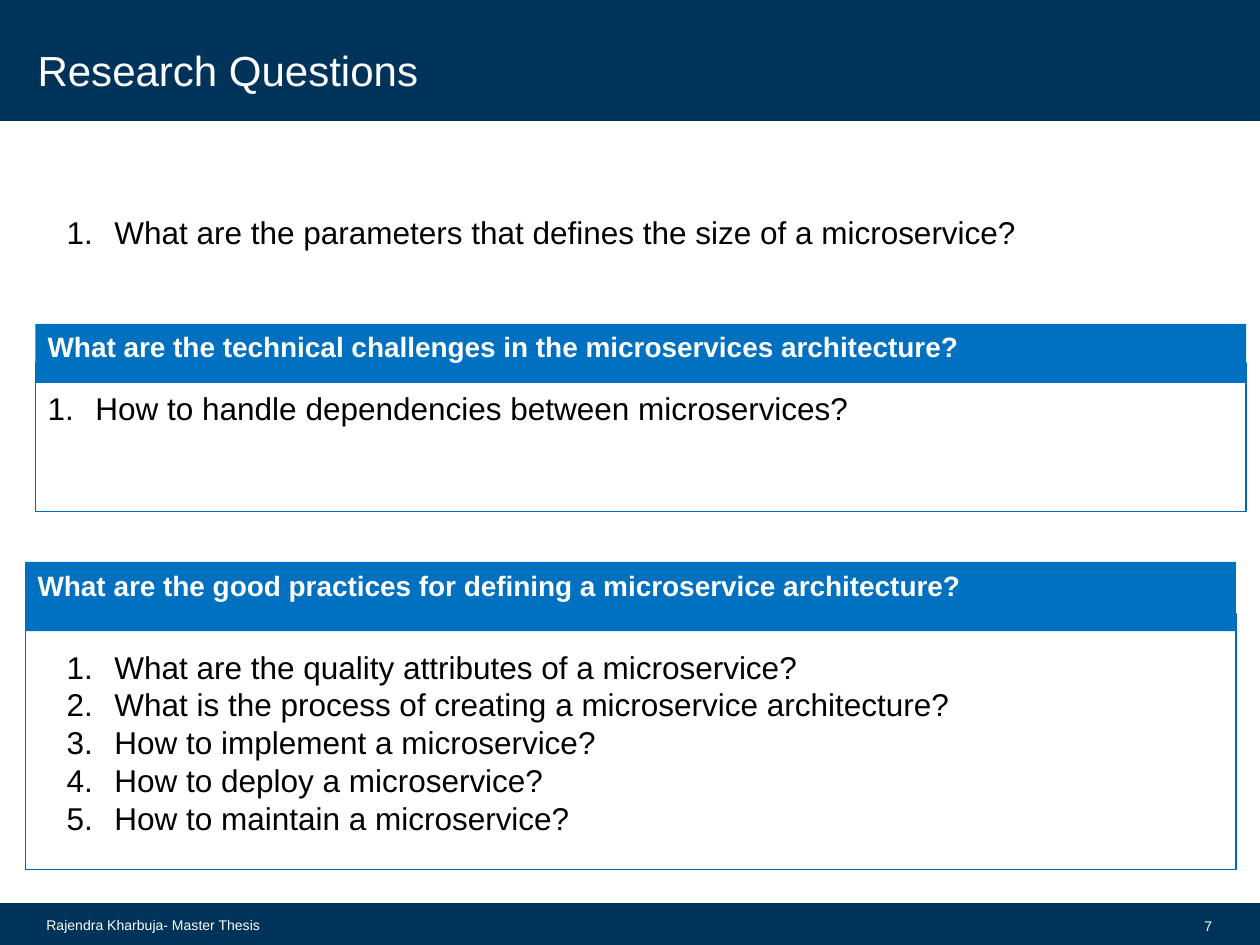
from lxml import etree
from pptx import Presentation
from pptx.dml.color import RGBColor
from pptx.enum.shapes import MSO_SHAPE
from pptx.enum.text import MSO_ANCHOR, PP_ALIGN
from pptx.oxml.ns import qn
from pptx.util import Inches, Pt

NAVY = RGBColor(0x00, 0x33, 0x59)
BLUE = RGBColor(0x00, 0x70, 0xC0)
OUTLINE = RGBColor(0x00, 0x65, 0xBD)
WHITE = RGBColor(0xFF, 0xFF, 0xFF)
BLACK = RGBColor(0x00, 0x00, 0x00)
FONT = "Arial"

PANEL_WIDTH = 9.61
LIST_INDENT = Inches(0.38)


def add_run(p, text, size, color, bold=False):
    r = p.add_run()
    r.text = text
    r.font.name = FONT
    r.font.size = Pt(size)
    r.font.bold = bold
    r.font.color.rgb = color


def add_rect(slide, x, y, w, h, fill=None, line=None, line_width=0.75):
    s = slide.shapes.add_shape(MSO_SHAPE.RECTANGLE, Inches(x), Inches(y), Inches(w), Inches(h))
    s.shadow.inherit = False
    if fill is None:
        s.fill.background()
    else:
        s.fill.solid()
        s.fill.fore_color.rgb = fill
    if line is None:
        s.line.fill.background()
    else:
        s.line.color.rgb = line
        s.line.width = Pt(line_width)
    return s


def add_text_box(slide, x, y, w, h, anchor=MSO_ANCHOR.TOP, wrap=True):
    s = slide.shapes.add_textbox(Inches(x), Inches(y), Inches(w), Inches(h))
    tf = s.text_frame
    tf.word_wrap = wrap
    tf.vertical_anchor = anchor
    return tf


def add_label(slide, x, y, w, h, text, size, anchor=MSO_ANCHOR.MIDDLE,
              align=PP_ALIGN.LEFT, wrap=True):
    tf = add_text_box(slide, x, y, w, h, anchor, wrap)
    p = tf.paragraphs[0]
    p.alignment = align
    add_run(p, text, size, WHITE)
    return tf


def add_numbered_list(slide, x, y, w, h, items):
    tf = add_text_box(slide, x, y, w, h)
    for i, item in enumerate(items):
        p = tf.add_paragraph() if i else tf.paragraphs[0]
        pPr = p._p.get_or_add_pPr()
        pPr.set("marL", str(LIST_INDENT))
        pPr.set("indent", str(-LIST_INDENT))
        etree.SubElement(pPr, qn("a:buFont"), typeface="+mj-lt")
        etree.SubElement(pPr, qn("a:buAutoNum"), type="arabicPeriod")
        add_run(p, item, 18, BLACK)


def add_panel(slide, x, header_y, header_h, body_y, body_h, heading):
    add_rect(slide, x, body_y, PANEL_WIDTH, body_h, line=OUTLINE)
    header = add_rect(slide, x, header_y, PANEL_WIDTH, header_h, fill=BLUE)
    tf = header.text_frame
    tf.word_wrap = True
    tf.vertical_anchor = MSO_ANCHOR.TOP
    p = tf.paragraphs[0]
    p.alignment = PP_ALIGN.LEFT
    add_run(p, heading, 16, WHITE, bold=True)


def main():
    prs = Presentation()
    prs.slide_width, prs.slide_height = Inches(10), Inches(7.5)
    slide = prs.slides.add_slide(prs.slide_layouts[6])

    # Footer and title bands
    for y, h in ((7.18, 0.32), (0, 0.95)):
        add_rect(slide, 0, y, 10, h, NAVY, NAVY, 1.35)
    title = add_label(slide, 0.2, 0.36, 8.24, 0.39, "Research Questions", 24, MSO_ANCHOR.BOTTOM)
    title.margin_top = title.margin_bottom = 0
    add_label(slide, 0.27, 7.18, 2.13, 0.32, "Rajendra Kharbuja- Master Thesis", 8)
    add_label(slide, 9.45, 7.19, 0.27, 0.32, "7", 8, align=PP_ALIGN.RIGHT, wrap=False)

    # Question panels
    add_panel(slide, 0.2, 4.46, 0.55, 4.87, 2.03,
              "What are the good practices for defining a microservice architecture?")
    add_panel(slide, 0.28, 2.57, 0.47, 2.88, 1.18,
              "What are the technical challenges in the microservices architecture?")

    # Numbered questions
    add_numbered_list(slide, 0.43, 1.64, 9.06, 0.4, [
        "What are the parameters that defines the size of a microservice?",
    ])
    add_numbered_list(slide, 0.43, 5.09, 7.26, 1.62, [
        "What are the quality attributes of a microservice?",
        "What is the process of creating a microservice architecture?",
        "How to implement a microservice?",
        "How to deploy a microservice?",
        "How to maintain a microservice?",
    ])
    add_numbered_list(slide, 0.28, 3.04, 8.74, 0.71, [
        "How to handle dependencies between microservices?",
    ])

    prs.save("out.pptx")


if __name__ == "__main__":
    main()
